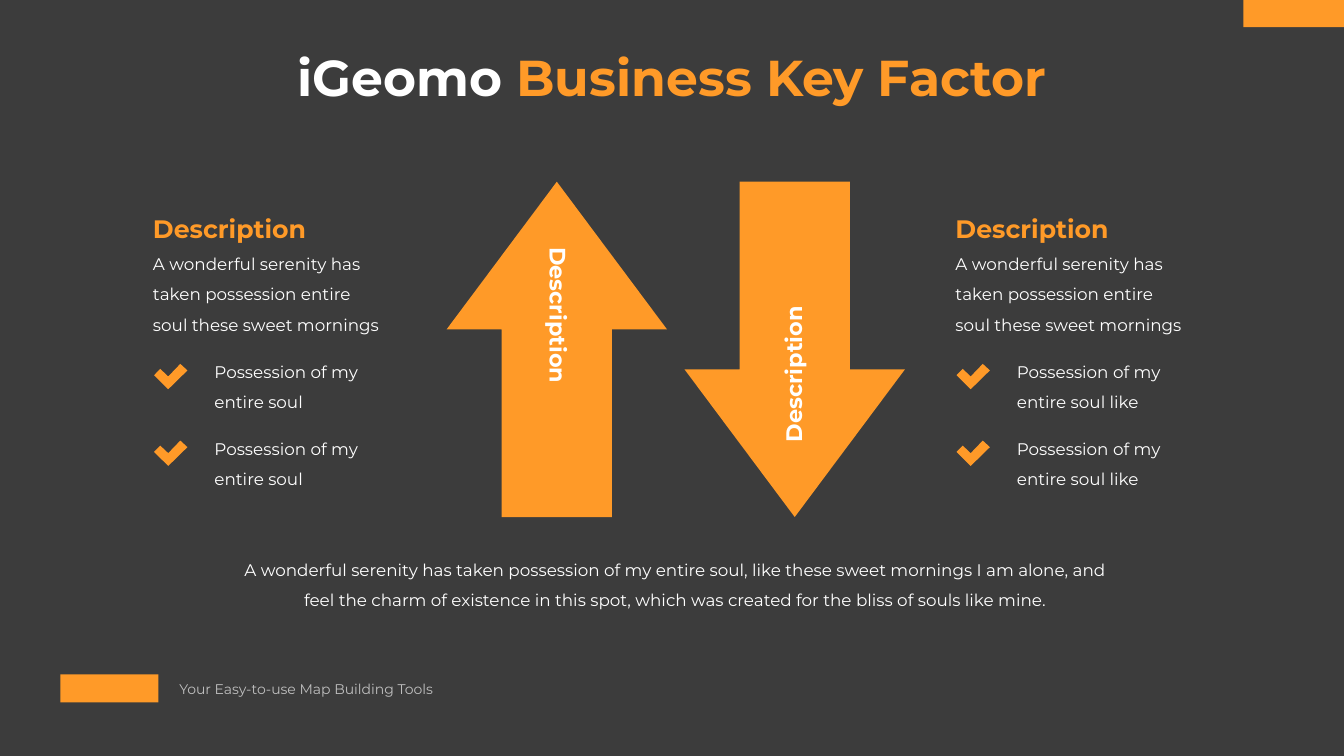
import pptx
import pptx.dml.color
import pptx.enum.shapes
import pptx.enum.text
import pptx.util

Pt = pptx.util.Pt
SHAPE = pptx.enum.shapes.MSO_SHAPE
ALIGN = pptx.enum.text.PP_ALIGN
ANCHOR = pptx.enum.text.MSO_ANCHOR
AUTO = pptx.enum.text.MSO_AUTO_SIZE

FONT = "Montserrat"
ORANGE = "FF9A28"
WHITE = "FFFFFF"
GREY = "BFBFBF"
DARK = "3C3C3C"

CHECK = [(18.7, 0), (10.1, 9), (4.4, 3.6), (0, 8.1), (10.1, 18.1), (23.8, 4.7)]
INTRO = "A wonderful serenity has taken possession entire soul these sweet mornings"
SUMMARY = (
    "A wonderful serenity has taken possession of my entire soul, like these sweet "
    "mornings I am alone, and feel the charm of existence in this spot, which was "
    "created for the bliss of souls like mine."
)


def rgb(color):
    return pptx.dml.color.RGBColor.from_string(color)


def paint(sp, color):
    sp.shadow.inherit = False
    sp.fill.solid()
    sp.fill.fore_color.rgb = rgb(color)
    sp.line.fill.background()


def add_block(s, kind, x, y, w, h):
    sp = s.shapes.add_shape(kind, Pt(x), Pt(y), Pt(w), Pt(h))
    paint(sp, ORANGE)
    return sp


def add_arrow(s, x, rotation):
    sp = add_block(s, SHAPE.UP_ARROW, x, 129.8, 157.5, 239.5)
    sp.adjustments[0] = 0.5
    sp.adjustments[1] = 0.67
    sp.rotation = rotation


def add_check(s, x, y):
    points = [(Pt(x + dx), Pt(y + dy)) for dx, dy in CHECK]
    builder = s.shapes.build_freeform(*points[0])
    builder.add_line_segments(points[1:], close=True)
    paint(builder.convert_to_shape(), ORANGE)


def add_text(s, x, y, w, h, parts, size, bold=False, spacing=1.0,
             align=ALIGN.LEFT, anchor=ANCHOR.TOP, grow=True, rotation=0):
    sp = s.shapes.add_textbox(Pt(x), Pt(y), Pt(w), Pt(h))
    sp.rotation = rotation
    tf = sp.text_frame
    tf.word_wrap = True
    tf.auto_size = AUTO.SHAPE_TO_FIT_TEXT if grow else AUTO.NONE
    tf.vertical_anchor = anchor
    p = tf.paragraphs[0]
    p.alignment = align
    p.line_spacing = spacing
    for text, color in parts:
        r = p.add_run()
        r.text = text
        r.font.name = FONT
        r.font.size = Pt(size)
        r.font.bold = bold
        r.font.color.rgb = rgb(color)


def add_column(s, x, item):
    add_text(s, x, 148.3, 170, 29, [("Description", ORANGE)], 18,
             bold=True, anchor=ANCHOR.MIDDLE)
    add_text(s, x, 170.6, 182, 70.6, [(INTRO, WHITE)], 12, spacing=1.5)
    for i in range(2):
        drop = i * 54.8
        add_check(s, x + 7.9, 259.9 + drop)
        add_text(s, x + 43.9, 247.7 + drop, 118.8, 48.6, [(item, WHITE)], 12, spacing=1.5)


def main():
    prs = pptx.Presentation()
    prs.slide_width = Pt(960)
    prs.slide_height = Pt(540)
    s = prs.slides.add_slide(prs.slide_layouts[6])
    s.background.fill.solid()
    s.background.fill.fore_color.rgb = rgb(DARK)

    add_arrow(s, 319, 0)
    add_arrow(s, 488.9, 180)
    for x, y, w, rotation in [(326.2, 229, 145.4, 90), (497.5, 240.5, 138.2, 270)]:
        add_text(s, x, y, w, 26.6, [("Description", WHITE)], 16, bold=True,
                 anchor=ANCHOR.MIDDLE, rotation=rotation)

    add_column(s, 102.2, "Possession of my entire soul")
    add_column(s, 675.4, "Possession of my entire soul like")

    add_text(s, 164.2, 390.2, 636.5, 48.2, [(SUMMARY, WHITE)], 12, spacing=1.5,
             align=ALIGN.CENTER, anchor=ANCHOR.MIDDLE)
    add_text(s, 66, 31.7, 828, 51.1,
             [("iGeomo ", WHITE), ("Business Key Factor", ORANGE)], 36, bold=True,
             spacing=0.9, align=ALIGN.CENTER, anchor=ANCHOR.MIDDLE, grow=False)

    add_block(s, SHAPE.RECTANGLE, 43.2, 481.7, 70, 20)
    add_text(s, 121, 482.4, 247.7, 19.4, [("Your Easy-to-use Map Building Tools", GREY)], 10)
    add_block(s, SHAPE.RECTANGLE, 888.2, 0, 71.8, 19.4)

    prs.save("out.pptx")


if __name__ == "__main__":
    main()
